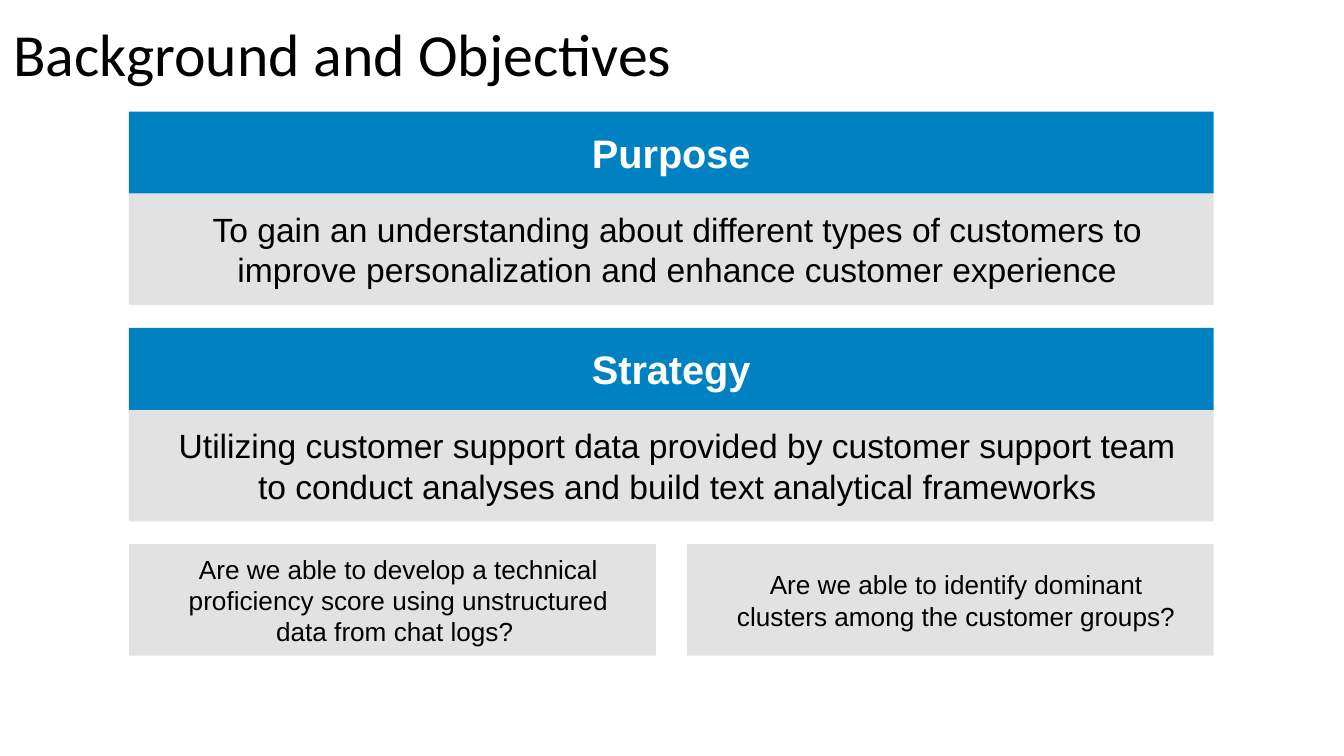
from dataclasses import dataclass

from pptx import Presentation
from pptx.dml.color import RGBColor
from pptx.enum.shapes import MSO_SHAPE
from pptx.enum.text import MSO_ANCHOR, PP_ALIGN
from pptx.util import Inches, Pt

BLUE = RGBColor(0x00, 0x82, 0xC2)
GREY = RGBColor(0xE2, 0xE2, 0xE2)
BLACK = RGBColor(0x00, 0x00, 0x00)
WHITE = RGBColor(0xFF, 0xFF, 0xFF)

# Grid in inches: two columns, three rows
WIDTH = 10
LEFT, TOP = 0.96, 0.83
COL, GUTTER = 3.92, 0.23
ROW = 1.61
HEAD, BODY = 0.61, 0.83


@dataclass
class Panel:
    text: str
    row: int
    col: int = 0
    span: int = 1
    size: float = 14
    head: str = ""


PANELS = [
    Panel("To gain an understanding about different types of customers to "
          "improve personalization and enhance customer experience",
          row=0, span=2, size=18, head="Purpose"),
    Panel("Utilizing customer support data provided by customer support team "
          "to conduct analyses and build text analytical frameworks",
          row=1, span=2, size=18, head="Strategy"),
    Panel("Are we able to develop a technical proficiency score using "
          "unstructured data from chat logs? ", row=2),
    Panel("Are we able to identify dominant clusters among the customer "
          "groups?", row=2, col=1),
]


def write(shape, text: str, size: float, color: RGBColor,
          font: str = "Arial", bold: bool = False,
          align: PP_ALIGN = PP_ALIGN.CENTER,
          sides: tuple[float, float] = (0.1, 0.1)) -> None:
    frame = shape.text_frame
    frame.text = text
    frame.word_wrap = True
    frame.vertical_anchor = MSO_ANCHOR.MIDDLE
    frame.margin_left, frame.margin_right = map(Inches, sides)
    frame.margin_top = frame.margin_bottom = 0
    para = frame.paragraphs[0]
    para.alignment = align
    style = para.runs[0].font
    style.name, style.size, style.bold = font, Pt(size), bold
    style.color.rgb = color


def add_bar(slide, kind: MSO_SHAPE, x: float, y: float, width: float,
            height: float, fill: RGBColor):
    bar = slide.shapes.add_shape(kind, Inches(x), Inches(y),
                                 Inches(width), Inches(height))
    bar.shadow.inherit = False
    bar.fill.solid()
    bar.fill.fore_color.rgb = fill
    bar.line.fill.background()
    return bar


def add_panel(slide, panel: Panel) -> None:
    x = LEFT + panel.col * (COL + GUTTER)
    y = TOP + panel.row * ROW
    width = panel.span * COL + (panel.span - 1) * GUTTER
    top = y + HEAD if panel.head else y
    body = add_bar(slide, MSO_SHAPE.RECTANGLE, x, top, width, BODY, GREY)
    write(body, panel.text, panel.size, BLACK, sides=(0.36, 0.27))
    if panel.head:
        bar = add_bar(slide, MSO_SHAPE.ROUNDED_RECTANGLE, x, y, width, HEAD,
                      BLUE)
        bar.adjustments[0] = 0
        write(bar, panel.head, 21.3, WHITE, bold=True)


def main() -> None:
    # Widescreen slide, 16:9
    deck = Presentation()
    deck.slide_width = Inches(WIDTH)
    deck.slide_height = Inches(WIDTH * 9 / 16)
    slide = deck.slides.add_slide(deck.slide_layouts[6])

    # Title
    title = slide.shapes.add_textbox(0, Inches(0.08), deck.slide_width,
                                     Inches(0.63))
    write(title, "Background and Objectives", 32, BLACK, font="Calibri",
          align=PP_ALIGN.LEFT)

    # Panels
    for panel in PANELS:
        add_panel(slide, panel)

    deck.save("out.pptx")


if __name__ == "__main__":
    main()
